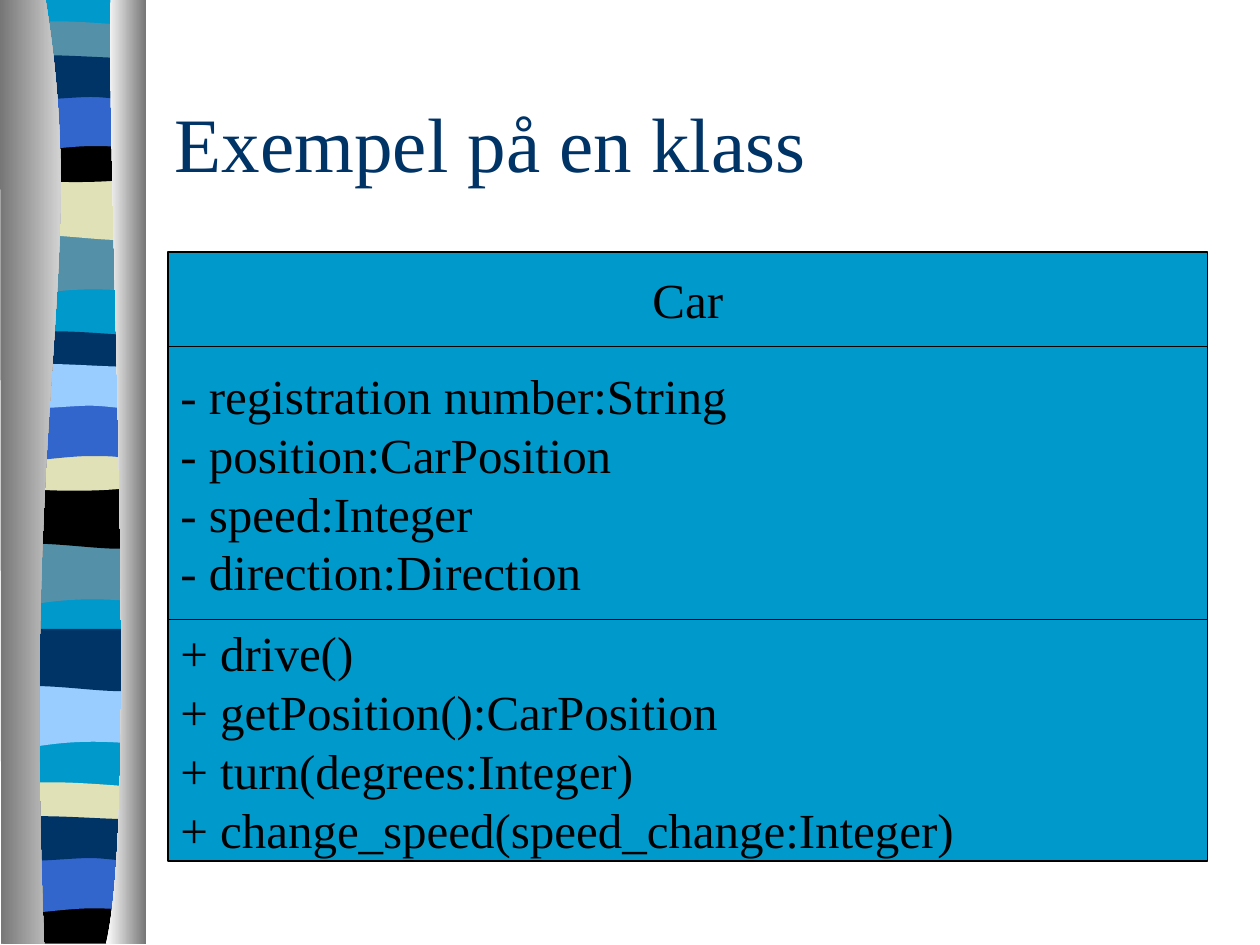
from dataclasses import dataclass

from pptx import Presentation
from pptx.dml.color import RGBColor
from pptx.enum.shapes import MSO_SHAPE
from pptx.enum.text import MSO_ANCHOR, PP_ALIGN
from pptx.oxml.ns import qn
from pptx.util import Inches, Pt


@dataclass(frozen=True)
class Theme:
    font: str = "Times New Roman"
    title_size: int = 44
    body_size: int = 28
    sky: str = "0099CC"
    teal: str = "5490A8"
    navy: str = "003366"
    blue: str = "3366CC"
    pale: str = "99CCFF"
    sand: str = "E1E1B7"
    black: str = "000000"
    tube_dark: str = "767676"
    tube_light: str = "FFFFFF"


THEME = Theme()
COLUMNS_PER_INCH = 12
FINE_PER_INCH = 100
CLASS_LEFT, CLASS_TOP, CLASS_WIDTH = 16, 24, 99

PROFILES = {
    "sag": [(108, 0), (108, 0, 108, 47, 108, 47),
            (33, 39, 18, 55, 0, 47), (0, 0)],
    "swell": [(108, 0), (108, 47), (90, 55, 33, 41, 0, 47), (0, 0)],
    "ripple": [(108, 0), (108, 24), (90, 28, 18, 28, 0, 24), (0, 0),
               (6, -5, 23, -4, 41, -4), (59, -4, 94, -1, 108, 0)],
    "dip": [(108, 0), (108, 32), (90, 38, 18, 38, 0, 32), (0, 0),
            (66, 5, 85, 0, 108, 0)],
    "arch": [(108, 0), (108, 0, 108, 47, 108, 47), (91, 42, 84, 42, 66, 42),
             (48, 42, 16, 47, 0, 47), (0, 0)],
    "wave": [(108, 0), (108, 31), (101, 36, 84, 31, 66, 31),
             (48, 31, 11, 36, 0, 31), (0, 0), (15, -5, 73, 0, 91, 0),
             (109, 0, 105, 0, 108, 0)],
    "foot": [(108, 0), (108, 37), (0, 37), (0, 0), (66, 5, 85, 0, 108, 0)],
    "backdrop": [(108, -1), (108, 747), (0, 747), (0, -1)],
}

BANDS = [
    ("backdrop", 6, 0, THEME.sky),
    ("sag", 6, 185, THEME.teal), ("swell", 6, 141, THEME.sand),
    ("ripple", 6, 21, THEME.teal), ("dip", 6, 108, THEME.black),
    ("arch", 6, 74, THEME.blue), ("wave", 6, 46, THEME.navy),
    ("sag", 5, 431, THEME.teal), ("swell", 5, 386, THEME.black),
    ("ripple", 5, 267, THEME.navy), ("dip", 5, 353, THEME.sand),
    ("arch", 5, 320, THEME.blue), ("wave", 5, 291, THEME.pale),
    ("sag", 6, 544, THEME.pale), ("swell", 6, 499, THEME.navy),
    ("ripple", 5, 625, THEME.sand), ("foot", 5, 712, THEME.black),
    ("arch", 5, 679, THEME.blue), ("wave", 5, 650, THEME.navy),
]

TUBES = [
    ([(36, -1), (71, 216, 17, 296, 35, 749), (1, 749), (0, -1)],
     THEME.tube_dark, THEME.tube_light),
    ([(88, -1), (84, 125, 111, 646, 84, 749), (116, 749), (116, 0)],
     THEME.tube_light, THEME.tube_dark),
]

COMPARTMENTS = [
    (9, ["Car"], PP_ALIGN.CENTER),
    (26, ["- registration number:String", "- position:CarPosition",
          "- speed:Integer", "- direction:Direction"], PP_ALIGN.LEFT),
    (23, ["+ drive()", "+ getPosition():CarPosition",
          "+ turn(degrees:Integer)",
          "+ change_speed(speed_change:Integer)"], PP_ALIGN.LEFT),
]


def grid(count):
    return Inches(count / COLUMNS_PER_INCH)


def rgb(value):
    return RGBColor.from_string(value)


def bend(outline, segments):
    steps = iter(list(outline._element.iter(qn("a:lnTo"))))
    for segment in segments[1:]:
        first = next(steps)
        if len(segment) == 6:
            first.tag = qn("a:cubicBezTo")
            for step in (next(steps), next(steps)):
                first.append(step[0])
                step.getparent().remove(step)


def add_outline(slide, segments, left=0, top=0):
    corners = [(Inches((segment[i] + left) / FINE_PER_INCH),
                Inches((segment[i + 1] + top) / FINE_PER_INCH))
               for segment in segments for i in range(0, len(segment), 2)]
    builder = slide.shapes.build_freeform(*corners[0])
    builder.add_line_segments(corners[1:], close=False)
    outline = builder.convert_to_shape()
    bend(outline, segments)
    outline.shadow.inherit = False
    outline.line.fill.background()
    return outline


def add_band(slide, profile, left, top, color):
    band = add_outline(slide, PROFILES[profile], left, top)
    band.fill.solid()
    band.fill.fore_color.rgb = rgb(color)


def add_tube(slide, segments, left_color, right_color):
    tube = add_outline(slide, segments)
    tube.fill.gradient()
    tube.fill.gradient_angle = 0
    for stop, color in zip(tube.fill.gradient_stops, (left_color, right_color)):
        stop.color.rgb = rgb(color)


def write_text(holder, lines, size=THEME.body_size, color=THEME.black,
               align=PP_ALIGN.LEFT):
    frame = holder.text_frame
    frame.word_wrap = True
    frame.vertical_anchor = MSO_ANCHOR.MIDDLE
    for index, line in enumerate(lines):
        paragraph = frame.add_paragraph() if index else frame.paragraphs[0]
        paragraph.alignment = align
        run = paragraph.add_run()
        run.text = line
        run.font.name = THEME.font
        run.font.size = Pt(size)
        run.font.color.rgb = rgb(color)


def add_compartment(slide, top, height, lines, align):
    compartment = slide.shapes.add_shape(
        MSO_SHAPE.RECTANGLE, grid(CLASS_LEFT), grid(top),
        grid(CLASS_WIDTH), grid(height))
    compartment.shadow.inherit = False
    compartment.fill.solid()
    compartment.fill.fore_color.rgb = rgb(THEME.sky)
    compartment.line.color.rgb = rgb(THEME.black)
    compartment.line.width = Pt(1)
    write_text(compartment, lines, align=align)


def add_title(slide, text):
    title = slide.shapes.add_textbox(
        Inches(1.29), grid(6), grid(102), grid(15))
    write_text(title, [text], size=THEME.title_size, color=THEME.navy)


def main():
    deck = Presentation()
    deck.slide_width, deck.slide_height = Inches(10), Inches(7.5)
    slide = deck.slides.add_slide(deck.slide_layouts[6])
    for band in BANDS:
        add_band(slide, *band)
    for tube in TUBES:
        add_tube(slide, *tube)
    add_title(slide, "Exempel på en klass")
    top = CLASS_TOP
    for height, lines, align in COMPARTMENTS:
        add_compartment(slide, top, height, lines, align)
        top += height
    deck.save("out.pptx")


if __name__ == "__main__":
    main()
